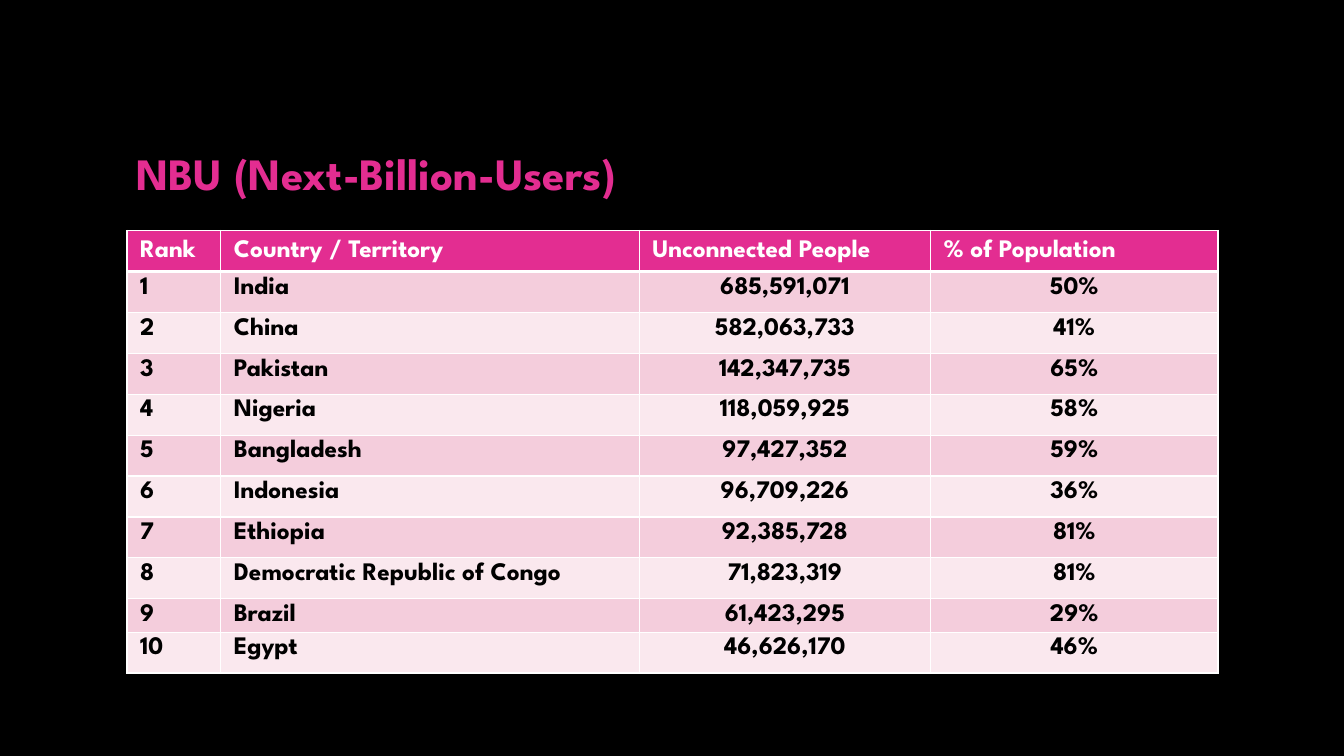
from dataclasses import dataclass

from lxml import etree
from pptx import Presentation
from pptx import util as u
from pptx.dml.color import RGBColor
from pptx.enum import text
from pptx.oxml.ns import qn


@dataclass(frozen=True)
class Theme:
    font: str = "League Spartan"
    back: str = "000000"
    pink: str = "E32D91"
    white: str = "FFFFFF"
    ink: str = "000000"
    bands: tuple = ("F4CDDC", "FAE8EE")
    head: int = 32
    body: int = 18
    thin: int = 1
    thick: int = 3


THEME = Theme()
WIDE, HIGH = u.Inches(13.33), u.Inches(7.5)
COLS = (0.93, 4.15, 2.89, 2.85)
ROW = 0.406
SHORT = 0.33
BRAZIL = 9
HEAD = ("Rank", "Country / Territory", "Unconnected People", "% of Population")
DATA = (
    ("India", "685,591,071", "50%"),
    ("China", "582,063,733", "41%"),
    ("Pakistan", "142,347,735", "65%"),
    ("Nigeria", "118,059,925", "58%"),
    ("Bangladesh", "97,427,352", "59%"),
    ("Indonesia", "96,709,226", "36%"),
    ("Ethiopia", "92,385,728", "81%"),
    ("Democratic Republic of Congo", "71,823,319", "81%"),
    ("Brazil", "61,423,295", "29%"),
    ("Egypt", "46,626,170", "46%"),
)


def paint(fill, tint):
    fill.solid()
    fill.fore_color.rgb = RGBColor.from_string(tint)


def style(para, size, tint, align):
    para.alignment = align
    for run in para.runs:
        font = run.font
        font.name, font.size, font.bold = THEME.font, u.Pt(size), True
        font.color.rgb = RGBColor.from_string(tint)


def edge(cell, side, width):
    """Draw one cell border; call before the cell is filled."""
    props = cell._tc.get_or_add_tcPr()
    line = etree.SubElement(props, qn(f"a:ln{side}"), w=str(u.Pt(width)))
    solid = etree.SubElement(line, qn("a:solidFill"))
    etree.SubElement(solid, qn("a:srgbClr"), val=THEME.white)


def add_title(slide, words):
    title = slide.shapes.title
    title.left, title.top = int(WIDE * 0.094), int(HIGH * 0.09)
    title.width, title.height = int(WIDE * 0.812), int(HIGH * 0.277)
    frame = title.text_frame
    frame.text = words
    frame.vertical_anchor = text.MSO_ANCHOR.MIDDLE
    style(frame.paragraphs[0], THEME.head, THEME.pink, text.PP_ALIGN.LEFT)


def set_cell(cell, words, row, col):
    top = row == 0
    cell.text = words
    cell.margin_left = cell.margin_right = u.Inches(0.13)
    cell.margin_top = cell.margin_bottom = u.Inches(0.05)
    cell.vertical_anchor = text.MSO_ANCHOR.MIDDLE if top else text.MSO_ANCHOR.TOP
    for side in "LRTB":
        heavy = (top and side == "B") or (row == 1 and side == "T")
        edge(cell, side, THEME.thick if heavy else THEME.thin)
    paint(cell.fill, THEME.pink if top else THEME.bands[(row - 1) % 2])
    align = text.PP_ALIGN.LEFT if top or col < 2 else text.PP_ALIGN.CENTER
    tint = THEME.white if top else THEME.ink
    style(cell.text_frame.paragraphs[0], THEME.body, tint, align)


def add_grid(slide):
    rows = [HEAD] + [(str(rank), *line) for rank, line in enumerate(DATA, 1)]
    highs = [SHORT if row == BRAZIL else ROW for row in range(len(rows))]
    grid = slide.shapes.add_table(
        len(rows), len(COLS), int(WIDE * 0.0945), int(HIGH * 0.305),
        u.Inches(sum(COLS)), u.Inches(sum(highs))).table
    for column, width in zip(grid.columns, COLS):
        column.width = u.Inches(width)
    for row, line in enumerate(rows):
        grid.rows[row].height = u.Inches(highs[row])
        for col, words in enumerate(line):
            set_cell(grid.cell(row, col), words, row, col)


def main():
    deck = Presentation()
    deck.slide_width, deck.slide_height = WIDE, HIGH
    slide = deck.slides.add_slide(deck.slide_layouts.get_by_name("Title Only"))
    paint(slide.background.fill, THEME.back)
    add_title(slide, "NBU (Next-Billion-Users)")
    add_grid(slide)
    deck.save("out.pptx")


if __name__ == "__main__":
    main()
